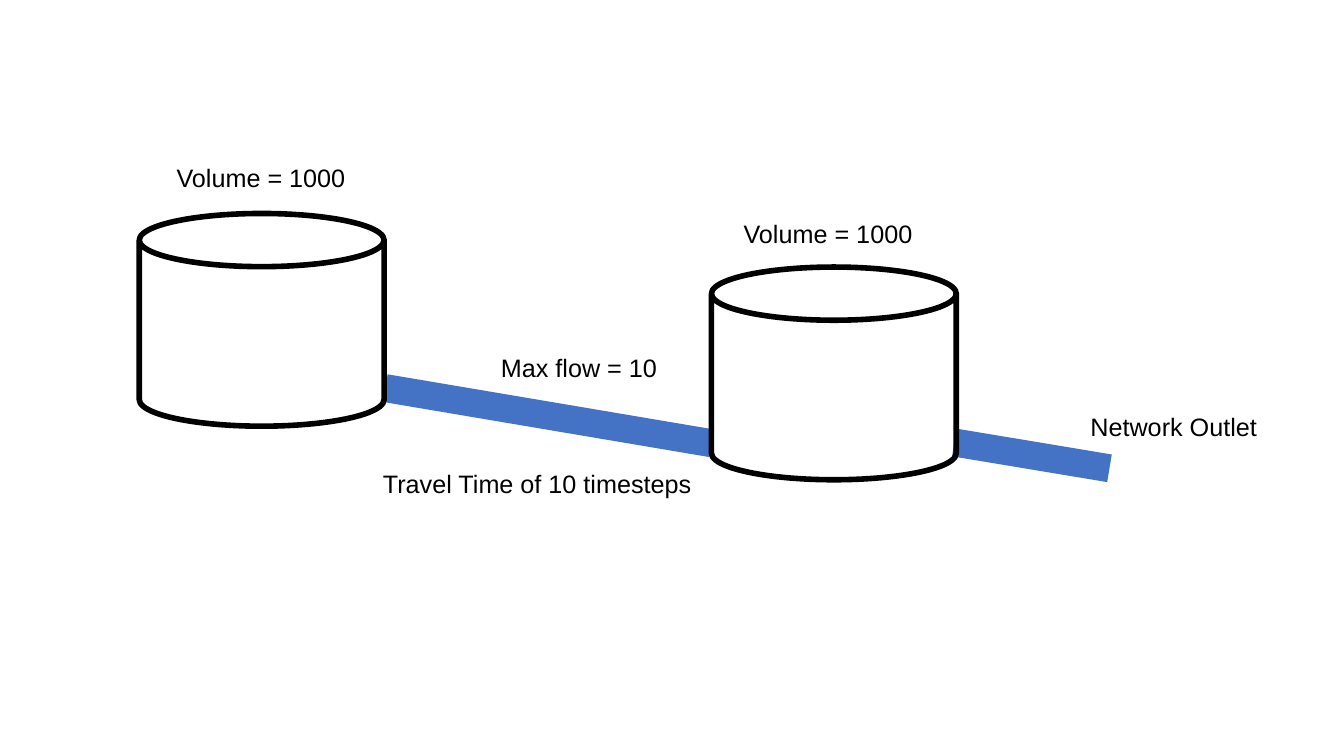
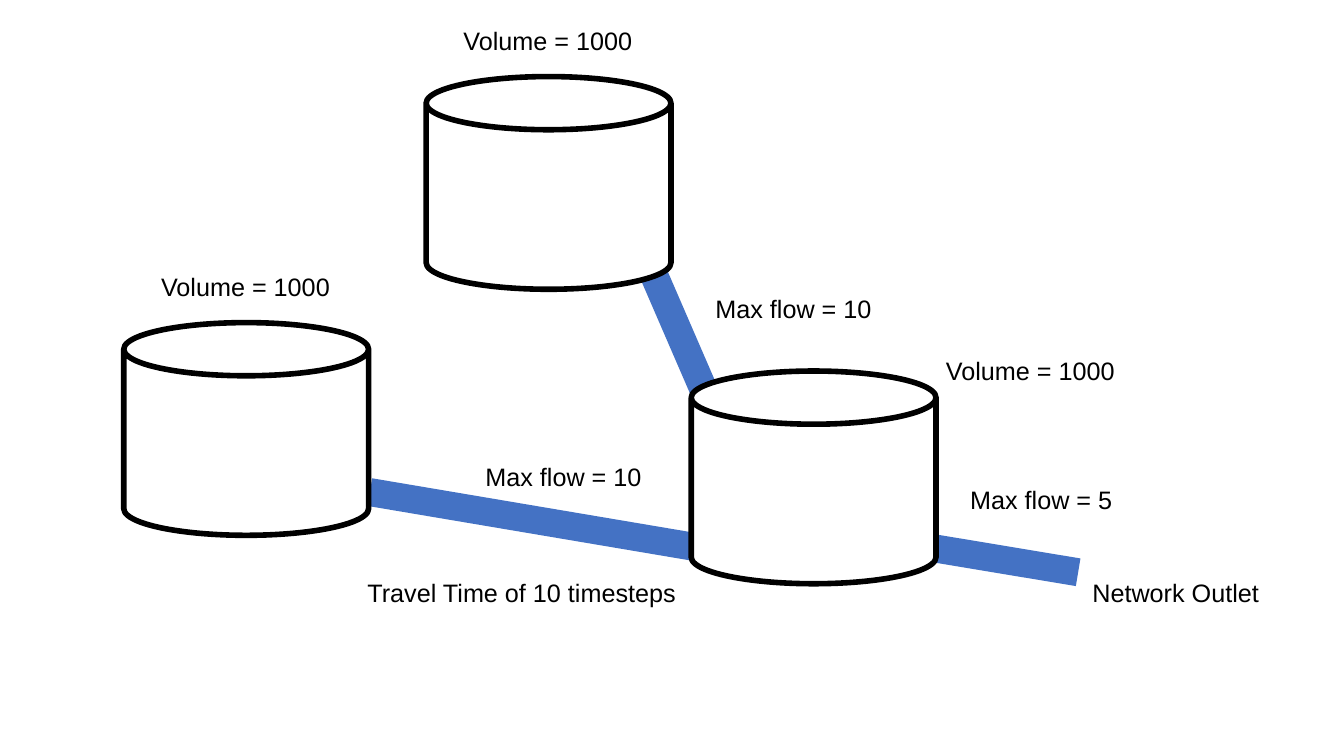
from dataclasses import dataclass

from lxml.etree import SubElement
from pptx import Presentation
from pptx.dml.color import RGBColor
from pptx.enum.shapes import MSO_CONNECTOR as Connector, MSO_SHAPE as Shape
from pptx.enum.text import MSO_AUTO_SIZE as AutoSize
from pptx.oxml.ns import qn
from pptx.util import Cm, Pt


@dataclass(frozen=True)
class Theme:
    font: str = "Arial"
    text_size: float = 18
    ink: str = "000000"
    paper: str = "FFFFFF"
    pipe: str = "4472C4"
    pipe_width: float = 20
    tank_line: float = 4
    tank_width: float = 6.17
    tank_height: float = 5.36
    label_height: float = 1.03


THEME = Theme()

# Wording and box width (cm) of each label
VOLUME = ("Volume = 1000", 4.8)
FLOW_10 = ("Max flow = 10", 4.5)
FLOW_5 = ("Max flow = 5", 4.5)
TRAVEL = ("Travel Time of 10 timesteps", 8.53)
OUTLET = ("Network Outlet", 4.75)


# Basic parts: all positions are in cm, relative to an origin
def shift(origin, offset):
    return origin[0] + offset[0], origin[1] + offset[1]


def write(box, text, *, size=THEME.text_size, font=THEME.font, color=THEME.ink):
    span = box.text_frame.paragraphs[0].add_run()
    span.text = text
    span.font.size = Pt(size)
    span.font.name = font
    span.font.color.rgb = RGBColor.from_string(color)


def add_label(group, origin, offset, label):
    text, width = label
    left, top = shift(origin, offset)
    box = group.shapes.add_textbox(
        Cm(left), Cm(top), Cm(width), Cm(THEME.label_height))
    box.text_frame.word_wrap = False
    box.text_frame.auto_size = AutoSize.SHAPE_TO_FIT_TEXT
    write(box, text)


def add_pipe(group, origin, start, end):
    points = [Cm(value) for offset in (start, end)
              for value in shift(origin, offset)]
    pipe = group.shapes.add_connector(Connector.STRAIGHT, *points)
    pipe.line.color.rgb = RGBColor.from_string(THEME.pipe)
    pipe.line.width = Pt(THEME.pipe_width)
    SubElement(pipe._element.spPr, qn("a:effectLst"))


def add_tank(group, origin, *, volume_at=(0.69, -1.42), filled=False):
    left, top = origin
    tank = group.shapes.add_shape(
        Shape.CAN, Cm(left), Cm(top), Cm(THEME.tank_width), Cm(THEME.tank_height))
    tank.shadow.inherit = False
    if filled:
        tank.fill.solid()
        tank.fill.fore_color.rgb = RGBColor.from_string(THEME.paper)
    else:
        tank.fill.background()
    tank.line.color.rgb = RGBColor.from_string(THEME.ink)
    tank.line.width = Pt(THEME.tank_line)
    add_label(group, origin, volume_at, VOLUME)


# Regions of the network
def add_feeder(group, origin, *, pipe_drop):
    """Left tank with its long pipe to the receiving tank."""
    add_pipe(group, origin, (6.2, pipe_drop), (14.43, pipe_drop + 1.39))
    add_tank(group, origin)
    add_label(group, origin, (3.49 * 2.54, 3.38), FLOW_10)
    add_label(group, origin, (5.89, 6.3), TRAVEL)


def add_branch(group, origin):
    """Upper tank with its steep pipe to the receiving tank."""
    add_pipe(group, origin, (5.62, 4.72), (7.04, 8))
    add_tank(group, origin, filled=True)
    add_label(group, origin, (7.04, 5.33), FLOW_10)


def add_receiver(group, origin, *, pipe_left, outlet_at, volume_at, filled=False):
    """Receiving tank with the short pipe to the network outlet."""
    start = (pipe_left, 4.42)
    add_pipe(group, origin, start, shift(start, (3.91, 0.65)))
    add_tank(group, origin, volume_at=volume_at, filled=filled)
    add_label(group, origin, outlet_at, OUTLET)


# Slides
def new_diagram(deck):
    page = deck.slides.add_slide(deck.slide_layouts[6])
    return page.shapes.add_group_shape()


def add_two_tank_page(deck):
    group = new_diagram(deck)
    add_feeder(group, (3.51, 5.38), pipe_drop=4.4)
    add_receiver(group, (17.93, 6.73), pipe_left=6.12,
                 outlet_at=(9.3, 3.51), volume_at=(0.56, -1.35))


def add_three_tank_page(deck):
    group = new_diagram(deck)
    receiver = (17.42, 9.35)
    add_feeder(group, (3.12, 8.13), pipe_drop=4.27)
    add_branch(group, (10.74, 1.93))
    add_receiver(group, receiver, pipe_left=5.84, outlet_at=(9.86, 5.08),
                 volume_at=(6.17, -0.53), filled=True)
    add_label(group, receiver, (6.78, 2.74), FLOW_5)


def main():
    deck = Presentation()
    deck.slide_width = Cm(33.87)
    deck.slide_height = Cm(19.05)
    add_two_tank_page(deck)
    add_three_tank_page(deck)
    deck.save("out.pptx")


if __name__ == "__main__":
    main()
